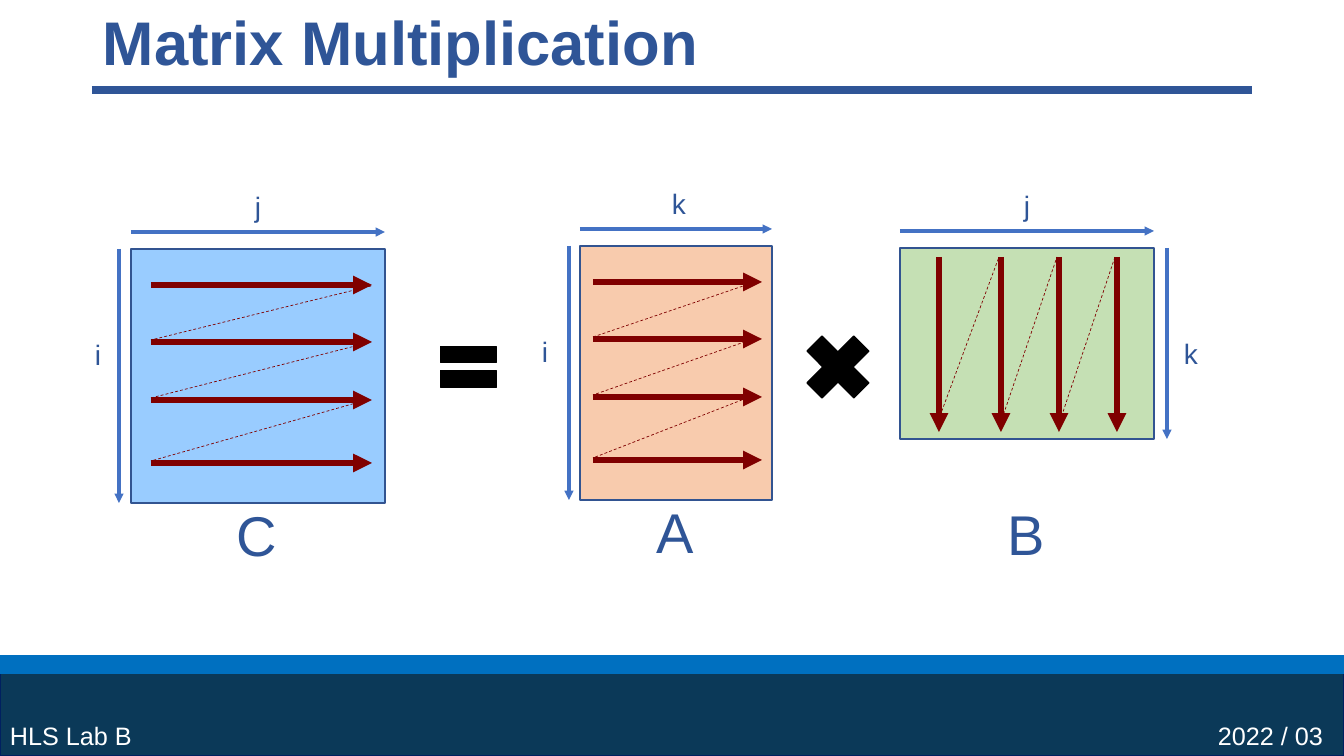
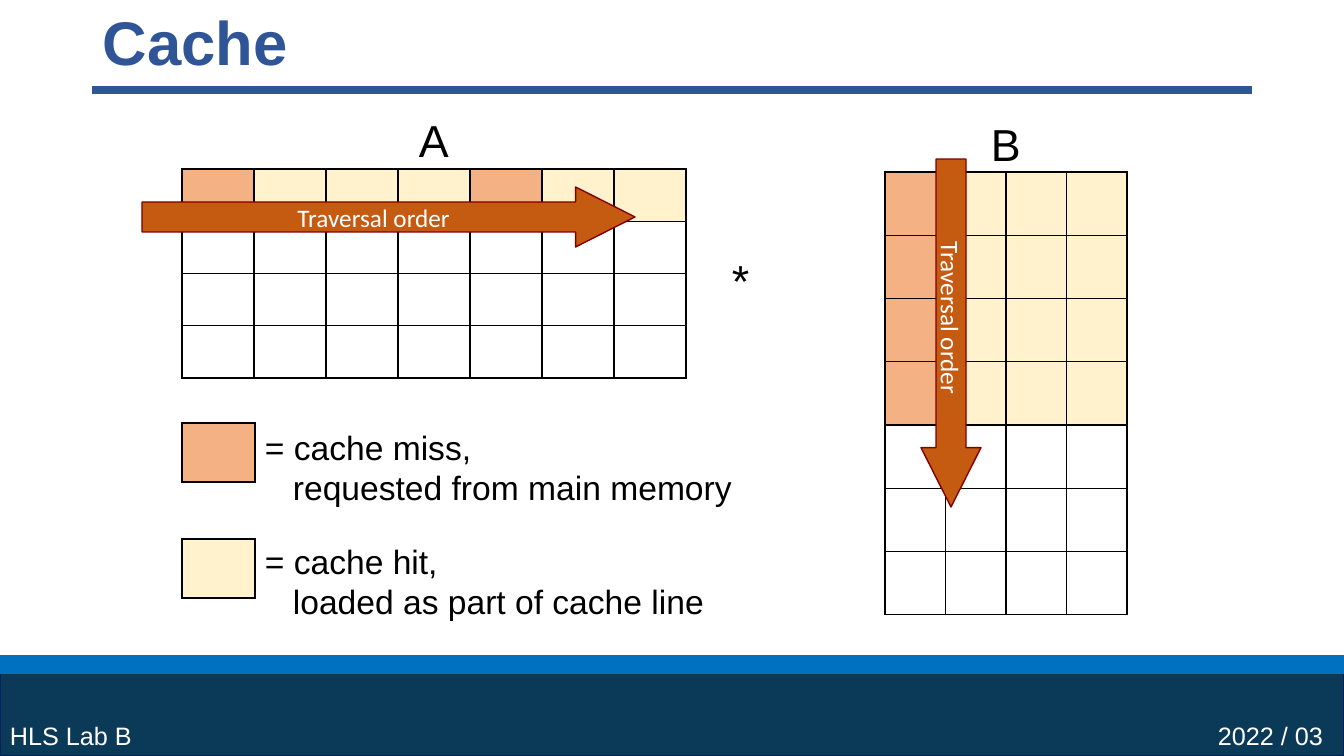
from dataclasses import dataclass
from typing import Optional

from pptx import Presentation
from pptx import util as u
from pptx.dml.color import RGBColor
from pptx.enum import dml, shapes, text
from pptx.oxml import ns
from pptx.slide import Slide
from lxml import etree

SCALE = 914400 / 100.8
WIDTH, HEIGHT = 1344, 756

BLUE = RGBColor(0x2F, 0x55, 0x97)
AXIS = RGBColor(0x44, 0x72, 0xC4)
EDGE = RGBColor(0x32, 0x54, 0x91)
MAROON = RGBColor(0x80, 0x00, 0x00)
SKY = RGBColor(0x99, 0xCC, 0xFF)
PEACH = RGBColor(0xF8, 0xCB, 0xAD)
GREEN = RGBColor(0xC5, 0xE0, 0xB4)
MISS = RGBColor(0xF4, 0xB1, 0x83)
HIT = RGBColor(0xFF, 0xF2, 0xCC)
RUST = RGBColor(0xC5, 0x5A, 0x11)
NAVY = RGBColor(0x0B, 0x39, 0x58)
NAVY_EDGE = RGBColor(0x00, 0x20, 0x60)
BAND = RGBColor(0x00, 0x70, 0xC0)
BLACK = RGBColor(0, 0, 0)
WHITE = RGBColor(0xFF, 0xFF, 0xFF)

Box = tuple[int, int, int, int]
Point = tuple[int, int]
Fills = list[list[Optional[RGBColor]]]


@dataclass(frozen=True)
class Matrix:
    name: str
    box: Box
    fill: RGBColor
    top_label: str
    top_label_x: int
    side_label: str
    side_label_x: int
    side_x: int
    tracks: tuple[int, ...]
    start: int
    end: int
    returns: tuple[int, ...]
    vertical: bool = False


@dataclass(frozen=True)
class Grid:
    box: Box
    fills: Fills


@dataclass(frozen=True)
class Label:
    box: Box
    lines: tuple[str, ...]
    size: int
    color: RGBColor = BLACK


@dataclass(frozen=True)
class Block:
    kind: shapes.MSO_SHAPE
    box: Box
    fill: RGBColor
    edge: RGBColor
    edge_pt: float = 1


MATRICES = (
    Matrix("C", (131, 249, 254, 254), SKY, "j", 245, "i", 85, 119,
           (285, 342, 400, 463), 151, 372, (371, 367, 363)),
    Matrix("A", (580, 246, 192, 254), PEACH, "k", 662, "i", 532, 569,
           (282, 339, 397, 460), 593, 762, (752, 750, 747)),
    Matrix("B", (900, 248, 254, 191), GREEN, "j", 1014, "k", 1174, 1167,
           (939, 1001, 1059, 1117), 257, 432, (416, 419, 421), True),
)

OPERATORS = (
    Block(shapes.MSO_SHAPE.MATH_EQUAL, (430, 332, 76, 69), BLACK, BLACK, 0.25),
    Block(shapes.MSO_SHAPE.MATH_MULTIPLY, (793, 322, 90, 90), BLACK, BLACK),
)

BANDS = (
    Block(shapes.MSO_SHAPE.RECTANGLE, (0, 673, WIDTH, 83), NAVY, NAVY_EDGE),
    Block(shapes.MSO_SHAPE.RECTANGLE, (0, 656, WIDTH, 17), BAND, BAND),
)

FOOTERS = (
    Label((0, 715, 143, 40), ("HLS Lab B",), 18, WHITE),
    Label((1208, 715, 126, 40), ("2022 / 03",), 18, WHITE),
)

GRIDS = (
    Grid((182, 169, 504, 209),
         [[MISS, HIT, HIT, HIT, MISS, HIT, HIT]] + [[None] * 7] * 3),
    Grid((885, 172, 242, 443),
         [[MISS, HIT, HIT, HIT]] * 4 + [[None] * 4] * 3),
    Grid((182, 423, 73, 59), [[MISS]]),
    Grid((182, 539, 73, 59), [[HIT]]),
)

CACHE_LABELS = (
    Label((255, 422, 492, 92),
          ("= cache miss,", "requested from main memory"), 24),
    Label((255, 536, 464, 92),
          ("= cache hit,", "loaded as part of cache line"), 24),
    Label((409, 108, 50, 64), ("A",), 32),
    Label((722, 248, 38, 64), ("*",), 32),
    Label((981, 112, 50, 64), ("B",), 32),
)

TRAVERSALS: tuple[tuple[Box, int], ...] = (
    ((142, 187, 493, 60), 0),
    ((777, 303, 348, 60), 90),
)


def px(value: float) -> int:
    return round(value * SCALE)


def add_run(p, words: str, size: int, color: RGBColor,
            font: str = "Arial", bold: bool = False) -> None:
    r = p.add_run()
    r.text = words
    r.font.size = u.Pt(size)
    r.font.name = font
    r.font.bold = bold
    r.font.color.rgb = color


def add_label(s: Slide, label: Label) -> None:
    tf = s.shapes.add_textbox(*map(px, label.box)).text_frame
    tf.word_wrap = False
    tf.auto_size = text.MSO_AUTO_SIZE.SHAPE_TO_FIT_TEXT
    for i, words in enumerate(label.lines):
        p = tf.add_paragraph() if i else tf.paragraphs[0]
        if i:
            p._p.get_or_add_pPr().set("marL", str(px(28)))
        add_run(p, words, label.size, label.color)


def add_block(s: Slide, block: Block):
    sp = s.shapes.add_shape(block.kind, *map(px, block.box))
    sp.shadow.inherit = False
    sp.fill.solid()
    sp.fill.fore_color.rgb = block.fill
    sp.line.color.rgb = block.edge
    sp.line.width = u.Pt(block.edge_pt)
    return sp


def add_line(s: Slide, start: Point, end: Point, color: RGBColor,
             width: float, arrow: bool = False, dashed: bool = False) -> None:
    cn = s.shapes.add_connector(shapes.MSO_CONNECTOR.STRAIGHT,
                                *map(px, start + end))
    cn.line.color.rgb = color
    cn.line.width = u.Pt(width)
    if dashed:
        cn.line.dash_style = dml.MSO_LINE.DASH
    if arrow:
        etree.SubElement(cn.line._get_or_add_ln(), ns.qn("a:tailEnd"),
                         type="triangle")
    etree.SubElement(cn._element.spPr, ns.qn("a:effectLst"))


def add_base(prs, title: str) -> Slide:
    s = prs.slides.add_slide(prs.slide_layouts[6])
    tf = s.shapes.add_textbox(*map(px, (93, 0, 1109, 92))).text_frame
    tf.word_wrap = True
    tf.vertical_anchor = text.MSO_ANCHOR.MIDDLE
    p = tf.paragraphs[0]
    p.line_spacing = 0.9
    add_run(p, title, 44, BLUE, bold=True)
    add_line(s, (92, 90), (1252, 90), BLUE, 6)
    for band in BANDS:
        add_block(s, band)
    for footer in FOOTERS:
        add_label(s, footer)
    return s


def add_matrix(s: Slide, m: Matrix) -> None:
    left, top, width, height = m.box
    right, bottom = left + width, top + height
    add_block(s, Block(shapes.MSO_SHAPE.RECTANGLE, m.box, m.fill, EDGE))
    add_line(s, (left, top - 17), (right, top - 17), AXIS, 2.25, arrow=True)
    add_line(s, (m.side_x, top), (m.side_x, bottom), AXIS, 2.25, arrow=True)
    name_width = 61 if m.name == "C" else 58
    name_left = left + (width - name_width) // 2
    add_label(s, Label((name_left, top + 247, name_width, 78),
                       (m.name,), 40, BLUE))
    for words, x, y in ((m.top_label, m.top_label_x, top - 64),
                        (m.side_label, m.side_label_x, top + 84)):
        label_width = 34 if words == "k" else 27
        add_label(s, Label((x, y, label_width, 44), (words,), 20, BLUE))

    def place(along: int, track: int) -> Point:
        return (track, along) if m.vertical else (along, track)

    for track in m.tracks:
        add_line(s, place(m.start, track), place(m.end, track),
                 MAROON, 4.5, arrow=True)
    for along, track, following in zip(m.returns, m.tracks, m.tracks[1:]):
        add_line(s, place(along, track + 1), place(m.start, following - 2),
                 MAROON, 0.5, dashed=True)


def add_border(cell) -> None:
    tc_pr = cell._tc.get_or_add_tcPr()
    for side in ("lnL", "lnR", "lnT", "lnB"):
        ln = etree.SubElement(tc_pr, ns.qn(f"a:{side}"), w=str(u.Pt(1)))
        fill = etree.SubElement(ln, ns.qn("a:solidFill"))
        etree.SubElement(fill, ns.qn("a:srgbClr"), val=str(BLACK))


def add_grid(s: Slide, grid: Grid) -> None:
    rows, cols = len(grid.fills), len(grid.fills[0])
    table = s.shapes.add_table(rows, cols, *map(px, grid.box)).table
    table.first_row = False
    table.horz_banding = False
    for i, row in enumerate(grid.fills):
        for j, color in enumerate(row):
            cell = table.cell(i, j)
            add_border(cell)
            if color is None:
                cell.fill.background()
            else:
                cell.fill.solid()
                cell.fill.fore_color.rgb = color


def add_traversal(s: Slide, box: Box, rotation: int) -> None:
    sp = add_block(s, Block(shapes.MSO_SHAPE.RIGHT_ARROW, box, RUST, MAROON))
    sp.adjustments[0] = 0.5
    sp.adjustments[1] = 0.99
    sp.rotation = rotation
    tf = sp.text_frame
    tf.vertical_anchor = text.MSO_ANCHOR.MIDDLE
    p = tf.paragraphs[0]
    p.alignment = text.PP_ALIGN.CENTER
    add_run(p, "Traversal order", 18, WHITE, font="Calibri")


def build_multiplication(prs) -> None:
    s = add_base(prs, "Matrix Multiplication")
    for matrix in MATRICES:
        add_matrix(s, matrix)
    for operator in OPERATORS:
        add_block(s, operator)


def build_cache(prs) -> None:
    s = add_base(prs, "Cache")
    for grid in GRIDS:
        add_grid(s, grid)
    for label in CACHE_LABELS:
        add_label(s, label)
    for box, rotation in TRAVERSALS:
        add_traversal(s, box, rotation)


def main() -> None:
    prs = Presentation()
    prs.slide_width, prs.slide_height = px(WIDTH), px(HEIGHT)
    build_multiplication(prs)
    build_cache(prs)
    prs.save("out.pptx")


main()
